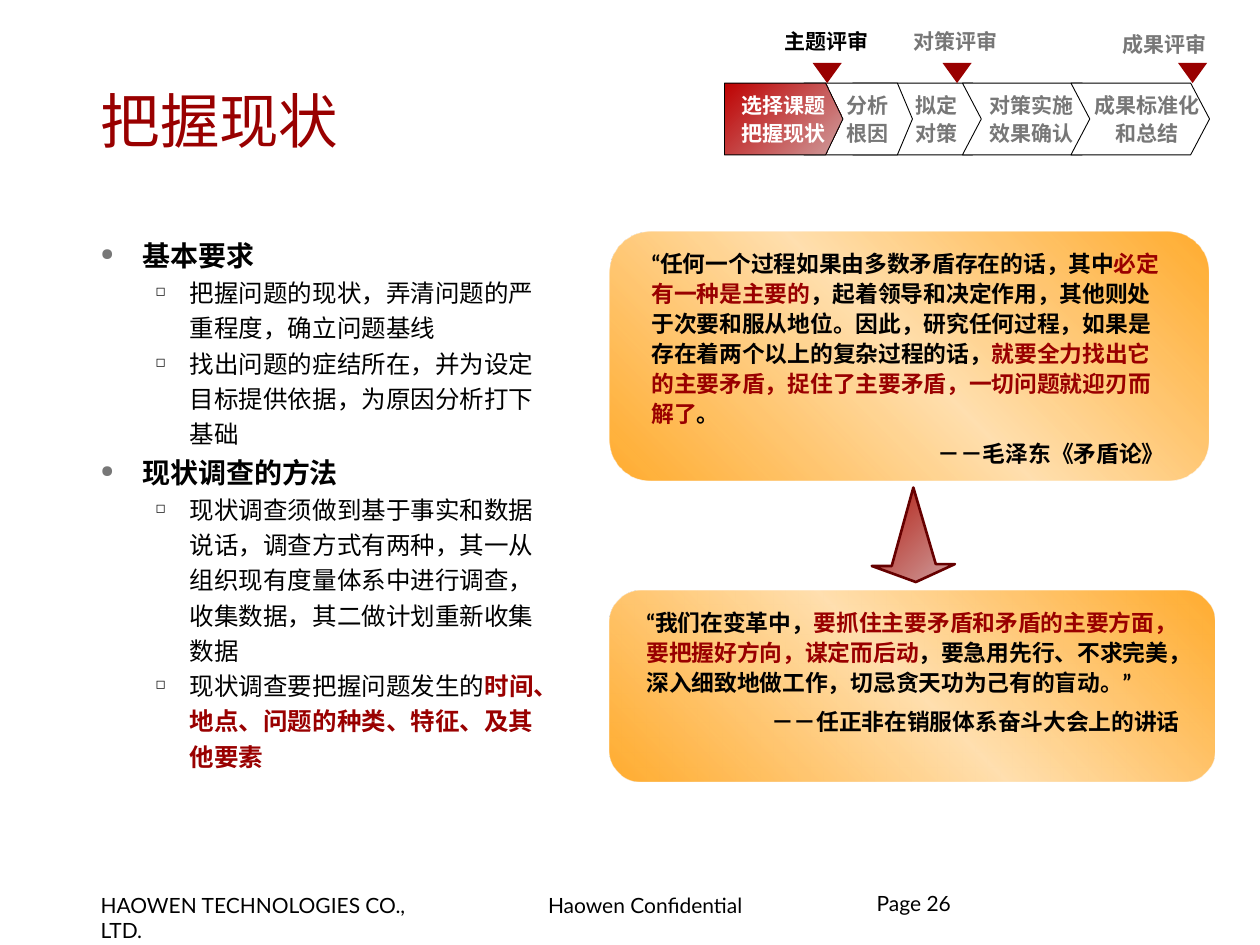
from dataclasses import dataclass

from lxml import etree
from pptx import Presentation
from pptx.dml.color import RGBColor
from pptx.enum import shapes, text
from pptx.oxml import ns
from pptx.util import Pt


@dataclass(frozen=True)
class Theme:
    black: str = "000000"
    white: str = "FFFFFF"
    red: str = "990000"
    grey: str = "777777"
    edge: str = "660000"
    glow: tuple = (("FF9900", 81), ("FFDAA1", 84), ("FF9900", 81))
    stage: tuple = (("BE0202", 100), ("CE9E9E", 100))
    arrow: tuple = (("B21A0E", 100), ("CE9E9E", 100))
    body_font: str = "Lato"
    stage_font: str = "Arial"
    label_font: str = "Noto Sans CJK SC"
    title: int = 34
    heading: int = 16
    point: int = 14
    quote: int = 13
    small: int = 12


T = Theme()
KIND = shapes.MSO_SHAPE
ALIGN = text.PP_ALIGN


def sub(parent, tag, **attrs):
    return etree.SubElement(parent, ns.qn(tag), attrs)


def style(sp, fill, line=None, width=0.5):
    sp.shadow.inherit = False
    if isinstance(fill, str):
        sp.fill.solid()
        sp.fill.fore_color.rgb = RGBColor.from_string(fill)
    if line:
        sp.line.color.rgb = RGBColor.from_string(line)
        sp.line.width = Pt(width)
    else:
        sp.line.fill.background()


def gradient(sp, stops, angle):
    """Fill with evenly spaced (colour, opacity) stops; angle runs clockwise."""
    sp.fill.background()
    old = sp._element.spPr.find(ns.qn("a:noFill"))
    grad = etree.Element(ns.qn("a:gradFill"), rotWithShape="1")
    stop_list = sub(grad, "a:gsLst")
    for i, (color, opacity) in enumerate(stops):
        gs = sub(stop_list, "a:gs", pos=str(100000 * i // (len(stops) - 1)))
        clr = sub(gs, "a:srgbClr", val=color)
        if opacity < 100:
            sub(clr, "a:alpha", val=str(opacity * 1000))
    sub(grad, "a:lin", ang=str(angle * 60000), scaled="0")
    old.getparent().replace(old, grad)


def add_shape(s, kind, box, fill=None, line=None):
    sp = s.shapes.add_shape(kind, *map(Pt, box))
    style(sp, fill, line)
    return sp


def add_outline(s, points, fill=None, line=None, width=0.5):
    pts = [(Pt(x), Pt(y)) for x, y in points]
    builder = s.shapes.build_freeform(*pts[0])
    builder.add_line_segments(pts[1:], close=True)
    sp = builder.convert_to_shape()
    style(sp, fill, line, width)
    return sp


def add_frame(s, box, insets=(6.5, 3), anchor=text.MSO_ANCHOR.TOP):
    tf = s.shapes.add_textbox(*map(Pt, box)).text_frame
    dx, dy = map(Pt, insets)
    settings = dict(word_wrap=True, vertical_anchor=anchor, margin_left=dx,
                    margin_right=dx, margin_top=dy, margin_bottom=dy)
    for name, value in settings.items():
        setattr(tf, name, value)
    return tf


def add_para(tf, runs, size, color=T.black, bold=False, font=T.body_font,
             east=T.body_font, **fmt):
    """Add a paragraph; runs is a string or (text, colour, bold) tuples."""
    first = tf.paragraphs[0]
    p = first if not first.runs else tf.add_paragraph()
    for name, value in fmt.items():
        setattr(p, name, value)
    if isinstance(runs, str):
        runs = [(runs, color, bold)]
    for words, run_color, run_bold in runs:
        r = p.add_run()
        r.text = words
        for name, value in dict(name=font, size=Pt(size), bold=run_bold).items():
            setattr(r.font, name, value)
        r.font.color.rgb = RGBColor.from_string(run_color)
        r._r.rPr.set("lang", "zh-CN")
        sub(r._r.rPr, "a:ea", typeface=east)
    return p


def add_bullet(p, char, color, percent, left, hang):
    pPr = p._p.get_or_add_pPr()
    pPr.set("marL", str(Pt(left)))
    pPr.set("indent", str(-Pt(hang)))
    sub(sub(pPr, "a:buClr"), "a:srgbClr", val=color)
    sub(pPr, "a:buSzPct", val=str(percent * 1000))
    sub(pPr, "a:buChar", char=char)


def add_stage_text(s, box, lines, color):
    tf = add_frame(s, box, (3.6, 3.6))
    for line in lines:
        add_para(tf, line, T.small, color, True, T.stage_font,
                 alignment=ALIGN.CENTER, line_spacing=1.1)


def add_process(s, box):
    """Stage chevrons with the review markers above them."""
    x, y, w, h = box
    bar, bar_h = y + 34.5, 41
    mid, low = bar + bar_h / 2, bar + bar_h
    for dx, cw, tip in ((73.4, 79.2, 10.8), (45.4, 62, 8.6),
                        (136, 79.2, 10.8), (w - 79.2, 79.2, 10.8)):
        left, right = x + dx, x + dx + cw
        add_outline(s, [(left, bar), (right - tip, bar), (right, mid),
                        (right - tip, low), (left, low), (left + tip, mid)],
                    T.white, T.black)
    current = add_shape(s, KIND.PENTAGON, (x, bar, 67.7, bar_h), line=T.black)
    current.adjustments[0] = 0.24
    gradient(current, T.stage, 45)

    for dx, tw, lines, color in (
            (5, 57, ("选择课题", "把握现状"), T.white),
            (62, 39.6, ("分析根因",), T.grey),
            (101.5, 39.6, ("拟定对策",), T.grey),
            (147, 57, ("对策实施", "效果确认"), T.grey),
            (207.5, 68.4, ("成果标准化", "和总结"), T.grey)):
        add_stage_text(s, (x + dx, bar + 0.7, tw, 39), lines, color)

    for dx, dy, tw, marker, words, color in (
            (28, 0, 62.6, 50.4, "主题评审", T.black),
            (101.5, 0, 62.6, 124.6, "对策评审", T.grey),
            (218, 2, 73.4, 259.2, " 成果评审", T.grey)):
        tf = add_frame(s, (x + dx, y + dy, tw, 21))
        add_para(tf, words, T.small, color, True, T.label_font)
        add_shape(s, KIND.FLOWCHART_MERGE, (x + marker, bar - 11.5, 16.6, 11.5), T.red)


def add_requirements(s, box, sections):
    tf = add_frame(s, box)
    for heading, points in sections:
        p = add_para(tf, heading, T.heading, bold=True, line_spacing=1.2)
        add_bullet(p, "●", T.grey, 60, 24, 24)
        for point in points:
            p = add_para(tf, point, T.point, level=1, line_spacing=1.2)
            add_bullet(p, "◻", T.black, 50, 51, 19.5)


def add_quote(s, box, text_box, runs, source):
    gradient(add_shape(s, KIND.ROUNDED_RECTANGLE, box), T.glow, 315)
    tf = add_frame(s, text_box)
    spacing = dict(line_spacing=1.1, space_before=Pt(2.6), space_after=Pt(2.6))
    add_para(tf, [(words, color, True) for words, color in runs], T.quote, **spacing)
    add_para(tf, source, T.quote, bold=True, alignment=ALIGN.RIGHT, **spacing)


def add_down_arrow(s, box):
    x, y, w, h = box
    shape = ((0.5, 0), (0.24, 0.83), (0, 0.83), (0.53, 1), (1, 0.81), (0.77, 0.81))
    sp = add_outline(s, [(x + fx * w, y + fy * h) for fx, fy in shape],
                     line=T.edge, width=1.5)
    gradient(sp, T.arrow, 45)


def add_footer(s, y):
    for x, dy, w, insets, words, spacing in (
            (51, 0, 206, (6.5, 3), "HAOWEN TECHNOLOGIES CO., LTD.", 1),
            (306.7, 0, 128, (6.5, 3), "Haowen Confidential", 1),
            (501, 4.3, 165, (0, 0), "Page 26", 0.85)):
        tf = add_frame(s, (x, y + dy, w, 21), insets)
        add_para(tf, words, T.small, line_spacing=spacing)


def main():
    prs = Presentation()
    prs.slide_width, prs.slide_height = Pt(720), Pt(540)
    s = prs.slides.add_slide(prs.slide_layouts[6])

    add_footer(s, 507)
    tf = add_frame(s, (51, 34, 610, 68.4), anchor=text.MSO_ANCHOR.MIDDLE)
    add_para(tf, "把握现状", T.title, T.red)
    add_process(s, (414, 13, 277.2, 75.5))
    add_requirements(s, (51, 129.6, 268.6, 330.5), (
        ("基本要求", ("把握问题的现状，弄清问题的严重程度，确立问题基线",
                  "找出问题的症结所在，并为设定目标提供依据，为原因分析打下基础")),
        ("现状调查的方法", (
            "现状调查须做到基于事实和数据说话，调查方式有两种，其一从组织现有度量体系中进行调查，"
            "收集数据，其二做计划重新收集数据",
            (("现状调查要把握问题发生的", T.black, False),
             ("时间、地点、问题的种类、特征、及其他要素", T.red, True))))))
    add_quote(s, (348.5, 132.5, 342, 142), (365.8, 138.2, 306, 133), (
        ("“任何一个过程如果由多数矛盾存在的话，其中", T.black),
        ("必定有一种是主要的", T.red),
        ("，起着领导和决定作用，其他则处于次要和服从地位。因此，研究任何过程，"
         "如果是存在着两个以上的复杂过程的话，", T.black),
        ("就要全力找出它的主要矛盾，捉住了主要矛盾，一切问题就迎刃而解了", T.red),
        ("。", T.black)), "－－毛泽东《矛盾论》")
    add_down_arrow(s, (498.2, 278.6, 47.5, 54))
    add_quote(s, (348.5, 337.7, 345.6, 108.7), (362.9, 343.4, 317.5, 98.6), (
        ("“我们在变革中，", T.black),
        ("要抓住主要矛盾和矛盾的主要方面，要把握好方向，谋定而后动", T.red),
        ("，要急用先行、不求完美，深入细致地做工作，切忌贪天功为己有的盲动。”", T.black)),
        "－－任正非在销服体系奋斗大会上的讲话")
    prs.save("out.pptx")


if __name__ == "__main__":
    main()
